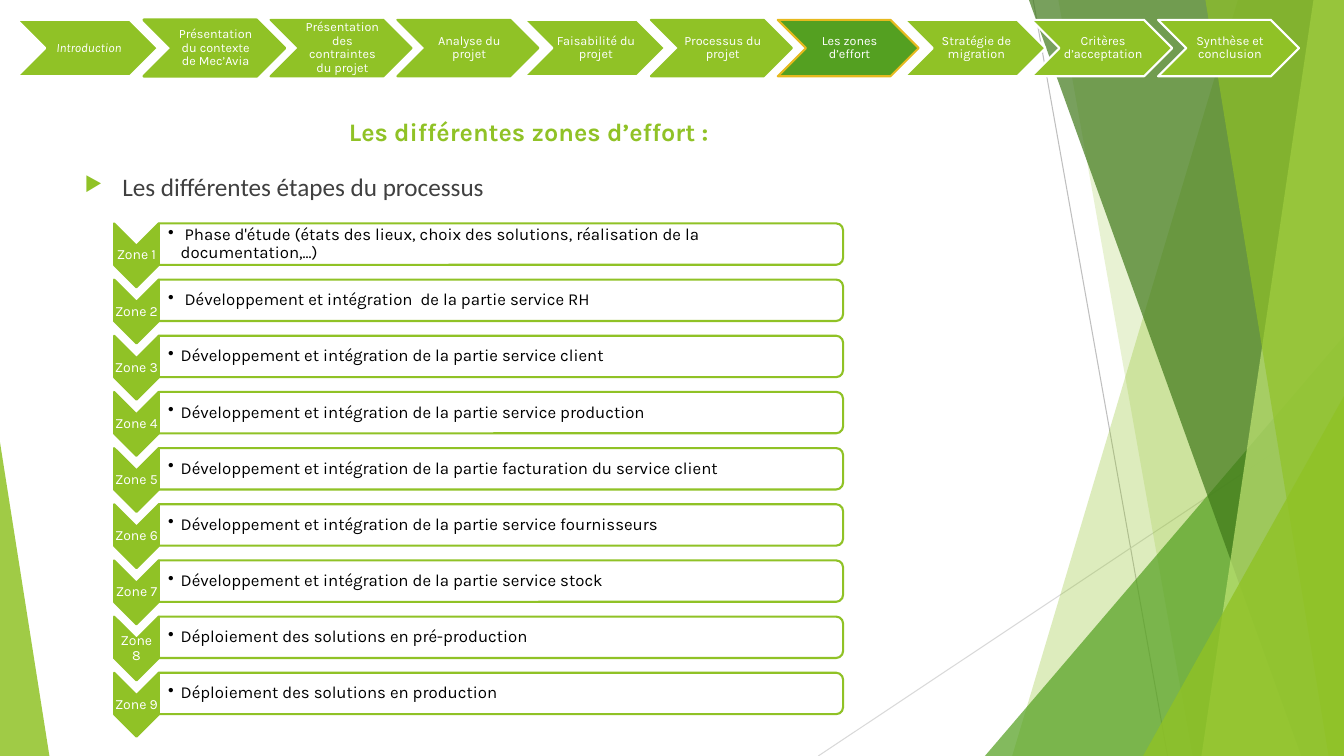
from lxml import etree
from pptx import Presentation
from pptx.dml.color import RGBColor
from pptx.enum.shapes import MSO_CONNECTOR, MSO_SHAPE
from pptx.enum.text import MSO_ANCHOR, PP_ALIGN
from pptx.oxml.ns import qn
from pptx.util import Pt

CHEVRON = MSO_SHAPE.CHEVRON
TRIANGLE = MSO_SHAPE.ISOSCELES_TRIANGLE
ROUNDED_END = MSO_SHAPE.ROUND_2_SAME_RECTANGLE
STRAIGHT = MSO_CONNECTOR.STRAIGHT
TOP, MIDDLE = MSO_ANCHOR.TOP, MSO_ANCHOR.MIDDLE
LEFT, CENTER = PP_ALIGN.LEFT, PP_ALIGN.CENTER

WIDTH, HEIGHT = 960, 540
LIME, GREEN, DARK_GREEN, PALE_LIME = "90C226", "54A021", "3F7819", "C0E474"
GOLD, WHITE, BLACK, GREY = "E6B91E", "FFFFFF", "000000", "404040"

STEPS = [
    ("Introduction", WHITE),
    ("Présentation du contexte de Mec’Avia", LIME),
    ("Présentation des contraintes du projet", LIME),
    ("Analyse du projet", LIME),
    ("Faisabilité du projet", WHITE),
    ("Processus du projet", LIME),
    ("Les zones d’effort", GOLD),
    ("Stratégie de migration", WHITE),
    ("Critères d’acceptation", WHITE),
    ("Synthèse et conclusion", WHITE),
]
CURRENT_STEP = "Les zones d’effort"
ZONES = [
    " Phase d'étude (états des lieux, choix des solutions, réalisation de la documentation,...)",
    " Développement et intégration  de la partie service RH",
    "Développement et intégration de la partie service client",
    "Développement et intégration de la partie service production",
    "Développement et intégration de la partie facturation du service client",
    "Développement et intégration de la partie service fournisseurs",
    "Développement et intégration de la partie service stock",
    "Déploiement des solutions en pré-production",
    "Déploiement des solutions en production",
]


def color(value):
    return RGBColor.from_string(value)


def paint(shape, fill, line=None, weight=1.5, opacity=100):
    shape.shadow.inherit = False
    shape.fill.solid()
    shape.fill.fore_color.rgb = color(fill)
    if opacity < 100:
        solid = shape.fill._xPr.find(qn("a:solidFill"))
        etree.SubElement(solid[0], qn("a:alpha"), val=str(opacity * 1000))
    if line:
        shape.line.color.rgb = color(line)
        shape.line.width = Pt(weight)
    else:
        shape.line.fill.background()


def add_bullet(para, symbol, indent, tint, percent):
    properties = para._p.get_or_add_pPr()
    properties.set("marL", str(Pt(indent)))
    properties.set("indent", str(-Pt(indent)))
    bullet_color = etree.SubElement(properties, qn("a:buClr"))
    etree.SubElement(bullet_color, qn("a:srgbClr"), val=tint)
    etree.SubElement(properties, qn("a:buSzPct"), val=str(percent * 1000))
    etree.SubElement(properties, qn("a:buChar"), char=symbol)


def write(shape, text, size, tint, font="Karla", bold=False, italic=False, align=CENTER,
          anchor=MIDDLE, insets=(7.2, 3.6, 7.2, 3.6), spacing=1.0, bullet=None):
    frame = shape.text_frame
    frame.word_wrap = True
    frame.vertical_anchor = anchor
    frame.margin_left, frame.margin_top, frame.margin_right, frame.margin_bottom = map(Pt, insets)
    para = frame.paragraphs[0]
    para.alignment = align
    para.line_spacing = spacing
    if bullet:
        add_bullet(para, *bullet)
    span = para.add_run()
    span.text = text
    span.font.name = font
    span.font.size = Pt(size)
    span.font.bold = bold
    span.font.italic = italic
    span.font.color.rgb = color(tint)


def add_text(page, left, top, width, height, text, **style):
    box = page.shapes.add_textbox(Pt(left), Pt(top), Pt(width), Pt(height))
    write(box, text, **style)


def add_turned(page, kind, left, top, width, height):
    shift = (width - height) / 2
    shape = page.shapes.add_shape(kind, Pt(left + shift), Pt(top - shift), Pt(height), Pt(width))
    shape.rotation = 90
    return shape


def add_thin_line(page, start, end, tint):
    line = page.shapes.add_connector(STRAIGHT, *map(Pt, start + end))
    line.line.color.rgb = color(tint)
    line.line.width = Pt(0.75)
    etree.SubElement(line._element.spPr, qn("a:effectLst"))


def add_wedge(page, top_x, bottom_x, fill, opacity):
    builder = page.shapes.build_freeform(Pt(top_x), 0)
    corners = [(WIDTH, 0), (WIDTH, HEIGHT), (bottom_x, HEIGHT)]
    builder.add_line_segments([(Pt(x), Pt(y)) for x, y in corners], close=True)
    paint(builder.convert_to_shape(), fill, opacity=opacity)


def add_corner(page, left, top, width, apex, fill, opacity):
    corner = page.shapes.add_shape(TRIANGLE, Pt(left), Pt(top), Pt(width), Pt(HEIGHT - top))
    corner.adjustments[0] = apex
    paint(corner, fill, opacity=opacity)


def add_backdrop(page):
    add_thin_line(page, (738, 0), (834, HEIGHT), "BFBFBF")
    add_thin_line(page, (WIDTH, 290), (584.5, HEIGHT), "D9D9D9")
    add_wedge(page, 884.2, 723, LIME, 30)
    add_wedge(page, 756, 851.8, LIME, 20)
    add_corner(page, 703.5, 240, 256.5, 1, GREEN, 72)
    add_wedge(page, 735, 929.5, DARK_GREEN, 70)
    add_wedge(page, 938.2, 858.2, PALE_LIME, 70)
    add_wedge(page, 861, 949, LIME, 65)
    add_corner(page, 816.5, 283, 143.5, 1, LIME, 80)
    add_corner(page, 0, 316, 35.3, 0, LIME, 85)


def add_step(page, index, label, outline):
    step = page.shapes.add_shape(CHEVRON, Pt(12.2 + 90.56 * index), Pt(14.2), Pt(100.7), Pt(40.3))
    paint(step, GREEN if label == CURRENT_STEP else LIME, outline, 2 if index == 1 else 1.5)
    write(step, label, size=9, tint=WHITE, italic=index == 0, spacing=0.9,
          insets=(2.84, 0.95, 0.95, 0.95))


def add_zone(page, index, description):
    top = 159.6 + 40.12 * index
    paint(add_turned(page, CHEVRON, 81.5, top, 31.9, 45.6), LIME, LIME)
    add_text(page, 81.5, top + 16, 31.9, 13.6, f"Zone {index + 1}", size=10, tint=WHITE,
             spacing=0.9, insets=(0.5, 0.5, 0.5, 0.5))
    paint(add_turned(page, ROUNDED_END, 113.4, top, 488.8, 29.6), WHITE, LIME, opacity=90)
    add_text(page, 113.4, top + 1.5, 487.4, 26.6, description, size=12, tint=BLACK, align=LEFT,
             spacing=0.9, insets=(6.7, 0.6, 0.6, 0.6), bullet=("•", 9, BLACK, 100))


def main():
    deck = Presentation()
    deck.slide_width, deck.slide_height = Pt(WIDTH), Pt(HEIGHT)
    page = deck.slides.add_slide(deck.slide_layouts[6])
    add_backdrop(page)
    add_text(page, 45.4, 77.8, 664.6, 31.7, "Les différentes zones d’effort :",
             size=18, tint=LIME, bold=True)
    add_text(page, 53.3, 118.8, 550, 30, "Les différentes étapes du processus", size=18,
             tint=GREY, font="Calibri", align=LEFT, anchor=TOP, bullet=("▶", 27, LIME, 80))
    for index, description in enumerate(ZONES):
        add_zone(page, index, description)
    for index, (label, outline) in enumerate(STEPS):
        add_step(page, index, label, outline)
    deck.save("out.pptx")


if __name__ == "__main__":
    main()
